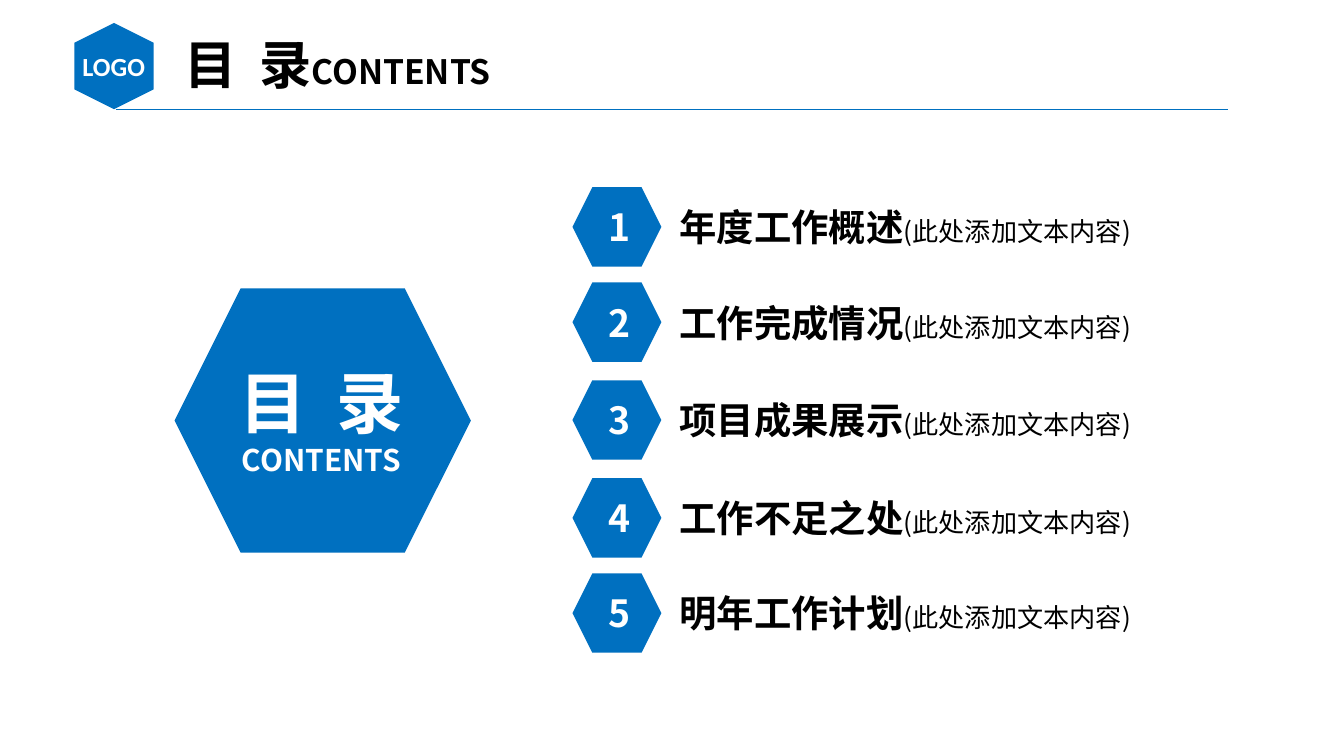
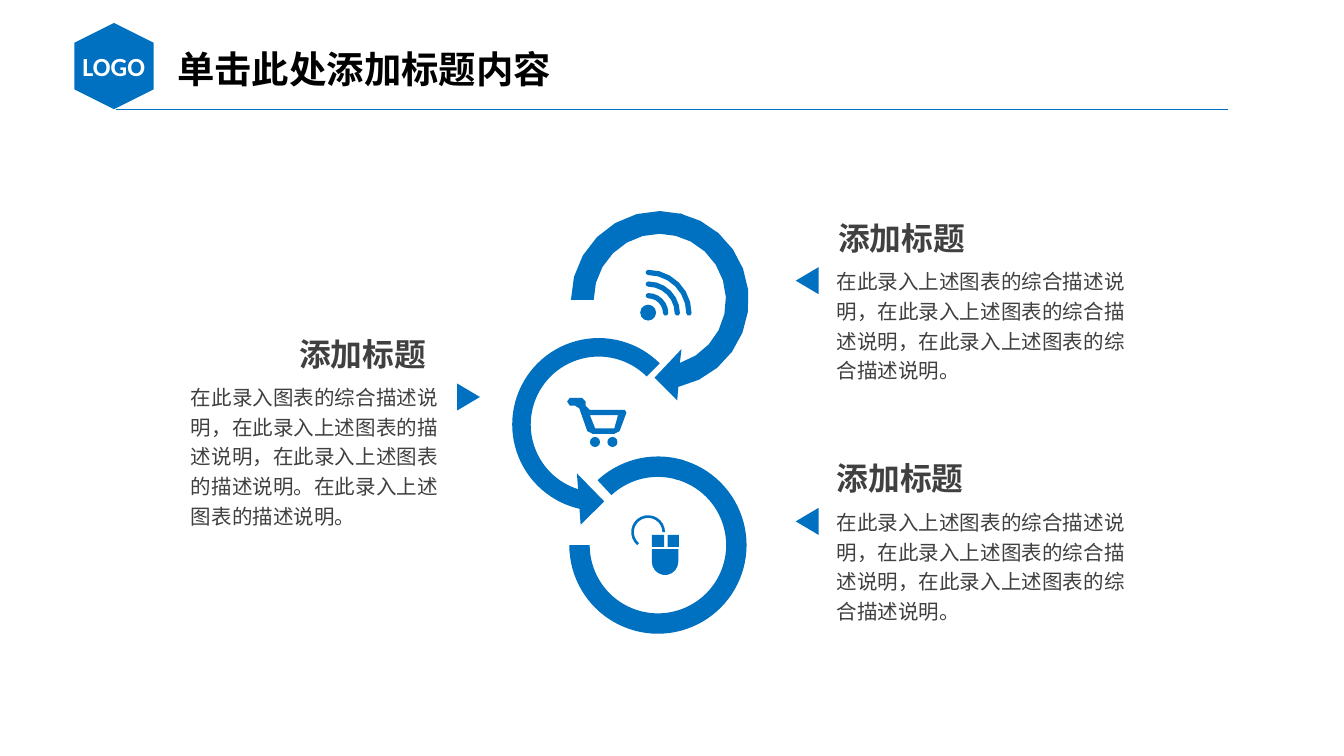
import math

import pptx
import pptx.dml.color
import pptx.enum.shapes
import pptx.enum.text
import pptx.util
from pptx.oxml.ns import qn
from lxml import etree

BLUE = pptx.dml.color.RGBColor(0x00, 0x70, 0xC0)
WHITE = pptx.dml.color.RGBColor(0xFF, 0xFF, 0xFF)
BLACK = pptx.dml.color.RGBColor(0x00, 0x00, 0x00)
GREY = pptx.dml.color.RGBColor(0x40, 0x40, 0x40)
SANS = "Noto Sans CJK SC"

Cm = pptx.util.Cm
KIND = pptx.enum.shapes.MSO_SHAPE
ALIGN = pptx.enum.text.PP_ALIGN
LEFT, MID, RIGHT = ALIGN.LEFT, ALIGN.CENTER, ALIGN.RIGHT

# Text formats: size, bold, colour; "gap" is letter spacing in points
LOGO = dict(size=14, bold=True, color=WHITE, name="Calibri")
HEAD = dict(size=20, bold=True, color=BLACK)
HEAD_BIG = dict(HEAD, size=28)
HEAD_SUB = dict(HEAD, size=18)
HUB = dict(size=36, bold=True, color=WHITE)
HUB_SUB = dict(size=16, bold=True, color=WHITE)
NUM = dict(size=20, bold=True, color=WHITE)
HINT = dict(size=14, bold=False, color=BLACK)
SUB = dict(size=17, bold=True, color=GREY)
BODY = dict(size=11, bold=False, color=GREY)

TOPICS = [
    (3.54, "年度工作概述"),
    (5.34, "工作完成情况"),
    (7.19, "项目成果展示"),
    (9.04, "工作不足之处"),
    (10.84, "明年工作计划"),
]
NOTE = "(此处添加文本内容)"

CAPTION = "添加标题"
LONG = "在此录入上述图表的综合描述说明，在此录入上述图表的综合描述说明，在此录入上述图表的综合描述说明。"
SHORT = ("在此录入图表的综合描述说明，在此录入上述图表的描述说明，"
         "在此录入上述图表的描述说明。在此录入上述图表的描述说明。")
# caption box, body box, marker place and turn, alignment of caption, body text
BLOCKS = [
    ((15.66, 4.03, 2.84, 0.94), (15.63, 4.9, 5.87, 2.44), (15, 5.09), 270, LEFT, LONG),
    ((15.63, 8.57, 2.84, 0.94), (15.63, 9.45, 5.87, 2.44), (15, 9.64), 270, LEFT, LONG),
    ((5.4, 6.22, 2.84, 0.94), (3.43, 7.09, 5.08, 3.07), (8.6, 7.29), 90, RIGHT, SHORT),
]

LOOP = (12.47, 5.67)
TIP = [(12.8, 7.57), (12.37, 7.14), (12.88, 6.6), (12.85, 6.86)]
WAVE = (12.25, 5.92)
CART = [
    [(11.81, 7.75), (11.15, 7.75), (11.07, 7.67), (11.07, 7.59), (11, 7.52),
     (10.77, 7.52), (10.72, 7.59), (10.77, 7.67), (10.87, 7.67), (10.95, 7.72),
     (11.1, 8.15), (11.2, 8.2), (11.61, 8.2), (11.71, 8.15), (11.84, 7.8)],
    [(11.61, 8.1), (11.25, 8.1), (11.15, 7.85), (11.68, 7.85)],
]
CORD, PALM = (12.25, 10.06), (12.57, 10.62)


def paint(shape):
    shape.shadow.inherit = False
    shape.fill.solid()
    shape.fill.fore_color.rgb = BLUE
    shape.line.fill.background()
    return shape


def solid(slide, kind, box, turn=0, adj=()):
    """Add a plain blue preset shape."""
    shape = paint(slide.shapes.add_shape(kind, *map(Cm, box)))
    shape.rotation = turn
    for i, value in enumerate(adj):
        shape.adjustments[i] = value
    return shape


def outline(slide, *loops):
    """Add one blue freeform made of closed loops of points in cm."""
    loops = [[(Cm(x), Cm(y)) for x, y in loop] for loop in loops]
    form = slide.shapes.build_freeform(*loops[0][0], scale=1.0)
    for i, loop in enumerate(loops):
        if i:
            form.move_to(*loop[0])
        form.add_line_segments(loop[1:], close=True)
    return paint(form.convert_to_shape())


def spot(mid, r, angle):
    turn = math.radians(angle)
    return mid[0] + r * math.cos(turn), mid[1] + r * math.sin(turn)


def arc(mid, r, start, end, pitch=15):
    """Points on a circle, degrees clockwise from the right."""
    steps = math.ceil(abs(end - start) / pitch)
    return [spot(mid, r, start + (end - start) * i / steps) for i in range(steps + 1)]


def band(mid, inner, outer, start, end, caps=False):
    """Outline of a ring section, with pointed-round ends if caps is set."""
    far, near = arc(mid, outer, start, end), arc(mid, inner, end, start)
    if not caps:
        return far + near
    r, half = (inner + outer) / 2, (outer - inner) / 2
    tail = arc(spot(mid, r, end), half, end, end + 180, 60)[1:-1]
    nose = arc(spot(mid, r, start), half, start + 180, start + 360, 60)[1:-1]
    return far + tail + near + nose


def style(run, look):
    look = dict(look)
    gap, color = look.pop("gap", 0), look.pop("color")
    look = {"name": SANS, **look, "size": pptx.util.Pt(look["size"])}
    for key, value in look.items():
        setattr(run.font, key, value)
    run.font.color.rgb = color
    props = run.font._element
    etree.SubElement(props, qn("a:ea")).set("typeface", look["name"])
    if gap:
        props.set("spc", str(gap * 100))


def write(shape, lines, align=LEFT, inset=None, **form):
    """Fill a shape with lines, each a list of (words, look)."""
    frame = shape.text_frame
    sides = dict(zip(("margin_left", "margin_top", "margin_right", "margin_bottom"),
                     map(Cm, inset or ())))
    setup = dict(word_wrap=True, vertical_anchor=pptx.enum.text.MSO_ANCHOR.TOP,
                 auto_size=pptx.enum.text.MSO_AUTO_SIZE.SHAPE_TO_FIT_TEXT)
    for key, value in {**setup, **sides, **form}.items():
        setattr(frame, key, value)
    for i, line in enumerate(lines):
        para = frame.add_paragraph() if i else frame.paragraphs[0]
        para.alignment = align
        for words, look in line:
            run = para.add_run()
            run.text = words
            style(run, look)
    return frame


def label(slide, box, lines, *args, **form):
    return write(slide.shapes.add_textbox(*map(Cm, box)), lines, *args, **form)


def spread(look, gap):
    """The word for contents, its two signs set apart."""
    return [("目 ", dict(look, gap=gap)), ("录", look)]


def start(deck, box, title):
    """Add a slide with the shared rule, badge and title."""
    slide = deck.slides.add_slide(deck.slide_layouts[6])
    rule = slide.shapes.add_connector(pptx.enum.shapes.MSO_CONNECTOR.STRAIGHT,
                                      *map(Cm, (2.2, 2.07, 23.2, 2.07)))
    rule.line.color.rgb = BLUE
    rule.line.width = pptx.util.Pt(0.75)
    etree.SubElement(rule._element.spPr, qn("a:effectLst"))
    solid(slide, KIND.HEXAGON, (1.34, 0.5, 1.63, 1.5), 90)
    label(slide, (1.25, 0.83, 1.8, 0.86), [[("LOGO", LOGO)]], MID)
    label(slide, box, [title])
    return slide


def contents(deck):
    slide = start(deck, (3.23, 0.48, 7.29, 1.45),
                  spread(HEAD_BIG, 3) + [("CONTENTS", HEAD_SUB)])
    solid(slide, KIND.HEXAGON, (3.3, 5.45, 5.6, 5))
    label(slide, (3.88, 6.7, 4.39, 2.49),
          [spread(HUB, 4), [("CONTENTS", HUB_SUB)]], MID)
    for i, (top, topic) in enumerate(TOPICS, 1):
        solid(slide, KIND.HEXAGON, (10.82, top, 1.68, 1.5))
        plate = solid(slide, KIND.RECTANGLE, (11.25, top + 0.2, 0.79, 1.12))
        write(plate, [[(str(i), NUM)]], MID)
        label(slide, (12.59, top + 0.2, 9.3, 1.12), [[(topic, HEAD), (NOTE, HINT)]])


def icons(slide):
    solid(slide, KIND.OVAL, (12.1, 5.76, 0.3, 0.3))
    for i in range(3):
        r = 0.33 + 0.22 * i
        outline(slide, band(WAVE, r - 0.05, r + 0.05, 270, 360, caps=True))

    outline(slide, *CART)
    for x in (11.15, 11.48):
        solid(slide, KIND.OVAL, (x, 8.26, 0.19, 0.19))

    keys = [[(a, 10.11), (b, 10.11), (b, 10.34), (a, 10.34)]
            for a, b in ((12.32, 12.55), (12.62, 12.83))]
    palm = [(12.32, 10.38), (12.82, 10.38)] + arc(PALM, 0.25, 0, 180, 20)
    outline(slide, *keys, palm)
    outline(slide, band(CORD, 0.27, 0.32, 130, 360))


def process(deck):
    slide = start(deck, (3.1, 0.74, 10.01, 1.12), [("单击此处添加标题内容", HEAD)])
    inset = (0.18, 0.1, 0.18, 0.1)
    for cap, box, mark, turn, align, words in BLOCKS:
        label(slide, cap, [[(CAPTION, SUB)]], align, inset, word_wrap=False)
        solid(slide, KIND.ISOSCELES_TRIANGLE, (*mark, 0.51, 0.43), turn)
        body = label(slide, box, [[(words, BODY)]], LEFT, inset)
        body.paragraphs[0].line_spacing = 1.2

    solid(slide, KIND.LEFT_CIRCULAR_ARROW, (9.37, 6.08, 3.89, 3.89),
          adj=(0.09, 11.42, 62.94, 189, 0.125))
    for adj in ((136.24, 172.28, 0.115), (170.85, 108, 0.115)):
        solid(slide, KIND.BLOCK_ARC, (10.76, 8.63, 3.35, 3.35), adj=adj)
    outline(slide, arc(LOOP, 1.68, 283, 438) + TIP + arc(LOOP, 1.25, 432, 283))
    outline(slide, band(LOOP, 1.25, 1.68, 180, 285))
    icons(slide)


def main():
    deck = pptx.Presentation()
    deck.slide_width, deck.slide_height = Cm(25.4), Cm(14.29)
    contents(deck)
    process(deck)
    deck.save("out.pptx")


if __name__ == "__main__":
    main()
